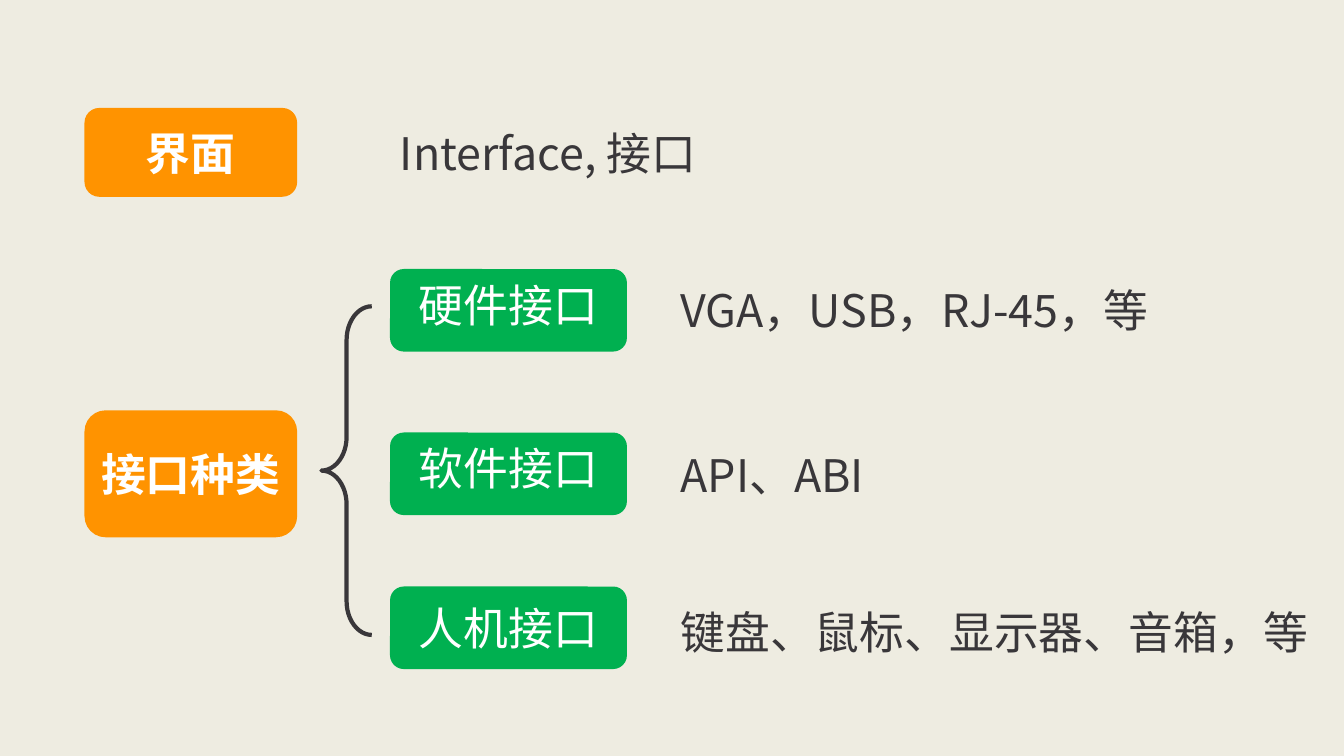
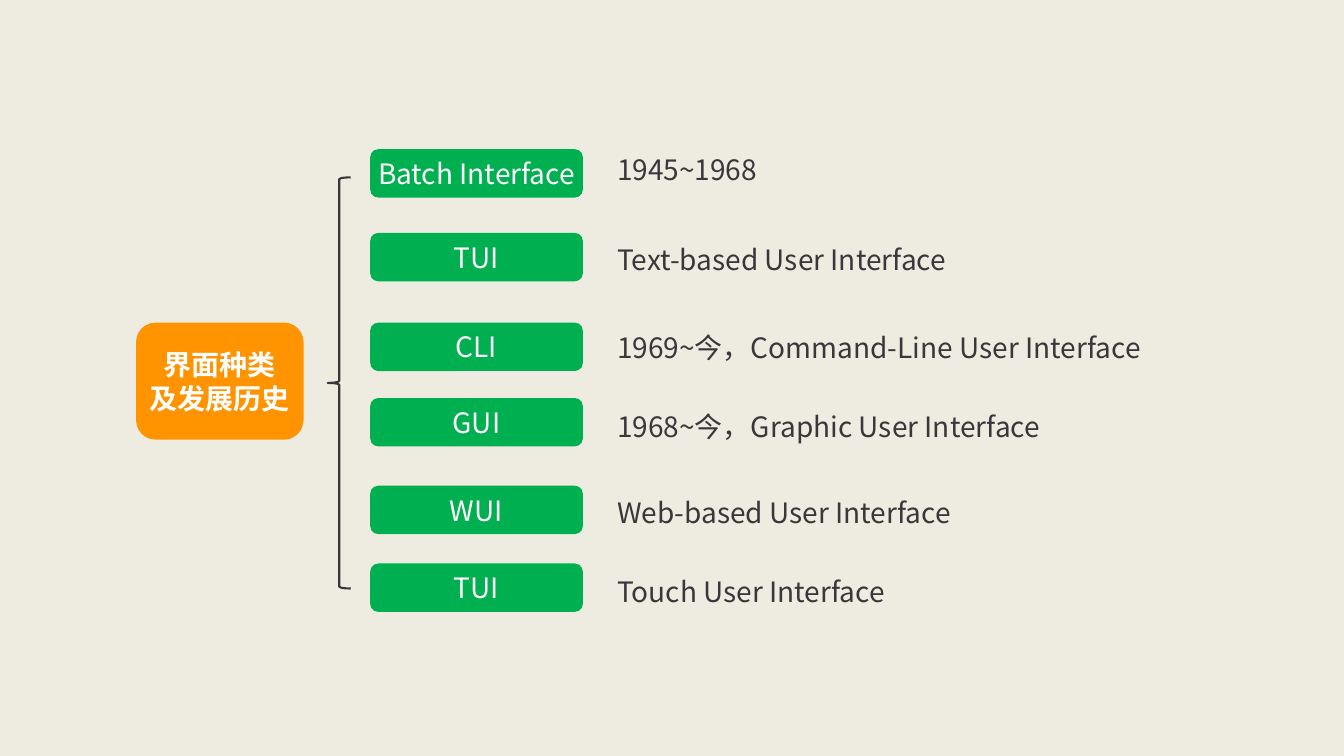
from pptx import Presentation
from pptx.dml.color import RGBColor
from pptx.enum import shapes, text
from pptx.oxml.ns import qn
from pptx.util import Cm, Pt

FONT = "Noto Sans CJK SC"
COLORS = {"back": "EEECE1", "topic": "FF9300", "kind": "00B050",
          "ink": "39373A", "white": "FFFFFF"}
C = {name: RGBColor.from_string(value) for name, value in COLORS.items()}


def add_text(s, words, box, size, fill=None, bold=False, lift=0):
    """Add a filled, centred label, or a plain note when fill is None.

    box is left, top, width, height in cm; lift is the bottom inset of a label.
    """
    box = [Cm(v) for v in box]
    if fill:
        sp = s.shapes.add_shape(shapes.MSO_SHAPE.ROUNDED_RECTANGLE, *box)
        sp.shadow.inherit = False
        sp.fill.solid()
        sp.fill.fore_color.rgb = C[fill]
        sp.line.fill.background()
        frame = {"vertical_anchor": text.MSO_ANCHOR.MIDDLE,
                 "margin_left": 0, "margin_right": 0,
                 "margin_top": 0, "margin_bottom": Cm(lift)}
    else:
        sp = s.shapes.add_textbox(*box)
        frame = {"auto_size": text.MSO_AUTO_SIZE.SHAPE_TO_FIT_TEXT}
    tf = sp.text_frame
    tf.word_wrap = True
    for key, value in frame.items():
        setattr(tf, key, value)
    tf.text = words
    for p in tf.paragraphs:
        p.alignment = text.PP_ALIGN.CENTER if fill else text.PP_ALIGN.LEFT
        for r in p.runs:
            for key, value in {"name": FONT, "size": Pt(size), "bold": bold}.items():
                setattr(r.font, key, value)
            r.font.color.rgb = C["white" if fill else "ink"]
            ea = r.font._element.makeelement(qn("a:ea"), {"typeface": FONT})
            r.font._element.find(qn("a:latin")).addnext(ea)


def add_brace(s, box, weight, curve):
    sp = s.shapes.add_shape(shapes.MSO_SHAPE.LEFT_BRACE, *[Cm(v) for v in box])
    sp.shadow.inherit = False
    sp.adjustments[0] = curve
    sp.fill.background()
    sp.line.color.rgb = C["ink"]
    sp.line.width = Pt(weight)


prs = Presentation()
prs.slide_width, prs.slide_height = Cm(33.87), Cm(19.05)
back = prs.slide_master.background.fill
back.solid()
back.fore_color.rgb = C["back"]
blank = prs.slide_layouts[6]

# Interface and its kinds
s = prs.slides.add_slide(blank)
size, note_height = 32, 1.63
add_text(s, "界面", (2.13, 2.72, 5.36, 2.24), size, "topic", bold=True)
add_text(s, "Interface, 接口", (9.83, 3.05, 14.78, note_height), size)
add_text(s, "接口种类", (2.13, 10.34, 5.36, 3.2), size, "topic", bold=True)
add_brace(s, (8.1, 7.72, 1.27, 8.28), 3, 0.67)
# label, top, lift, note, note top, note width
for label, top, lift, note, note_top, note_width in [
    ("硬件接口", 6.78, 0.3, "VGA，USB，RJ-45，等", 7.01, 13.1),
    ("软件接口", 10.9, 0.3, "API、ABI", 11.15, 9.32),
    ("人机接口", 14.78, 0, "键盘、鼠标、显示器、音箱，等", 15.11, 17.45),
]:
    add_text(s, label, (9.83, top, 5.97, 2.08), size, "kind", lift=lift)
    add_text(s, note, (16.9, note_top, note_width, note_height), size)

# History of user interfaces
s = prs.slides.add_slide(blank)
size, note_height = 20, 1.12
add_text(s, "界面种类\n及发展历史", (3.43, 8.13, 4.22, 2.95), size, "topic", bold=True)
add_brace(s, (8.26, 4.47, 0.58, 10.36), 1.5, 0.08)
# label, top, note, note top
for label, top, note, note_top in [
    ("Batch Interface", 3.76, "1945~1968", 3.73),
    ("TUI", 5.87, "Text-based User Interface", 5.99),
    ("CLI", 8.13, "1969~今，Command-Line User Interface", 8.2),
    ("GUI", 10.03, "1968~今，Graphic User Interface", 10.19),
    ("WUI", 12.24, "Web-based User Interface", 12.37),
    ("TUI", 14.2, "Touch User Interface", 14.35),
]:
    add_text(s, label, (9.33, top, 5.36, 1.22), size, "kind")
    add_text(s, note, (15.3, note_top, 16.8, note_height), size)

prs.save("out.pptx")
